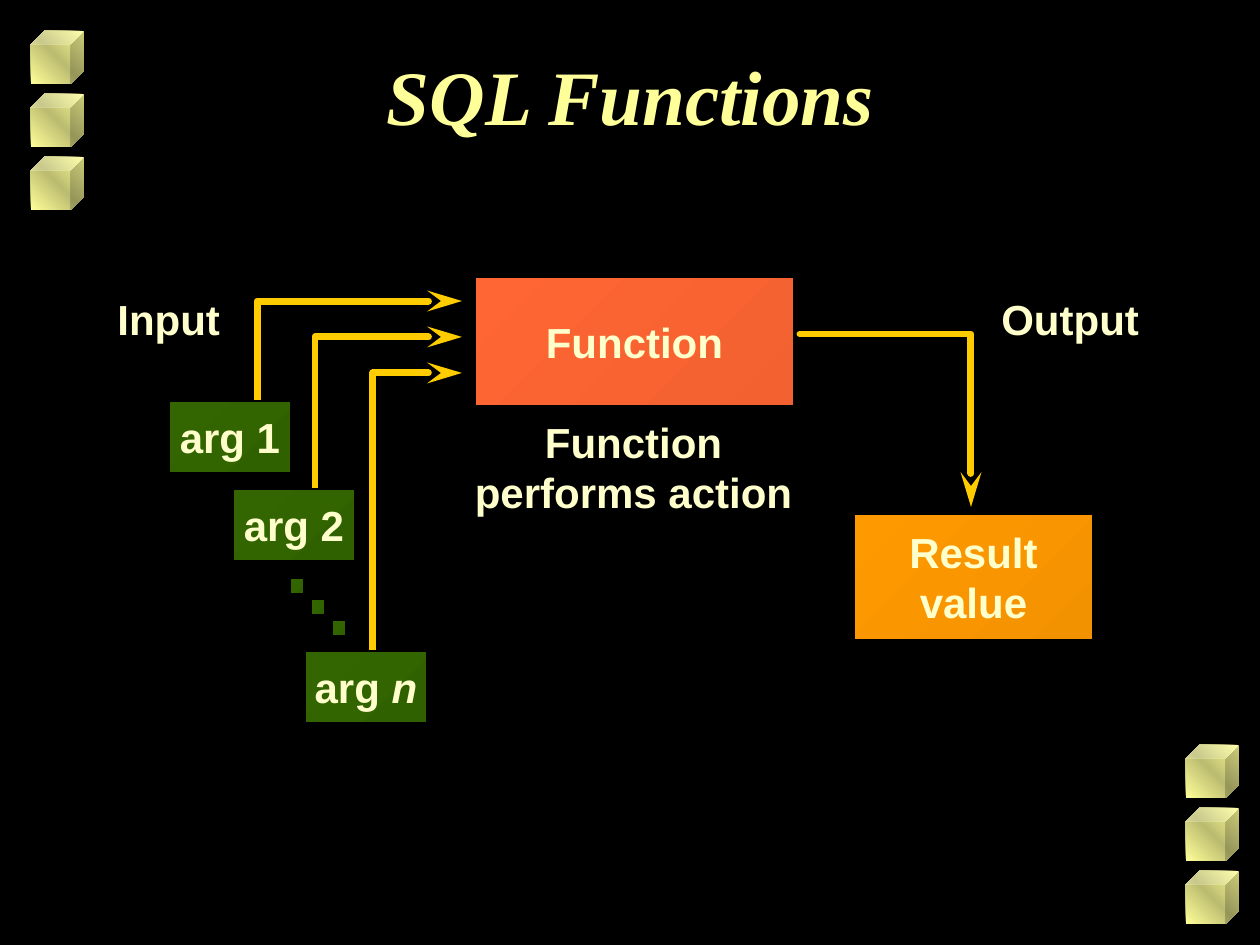
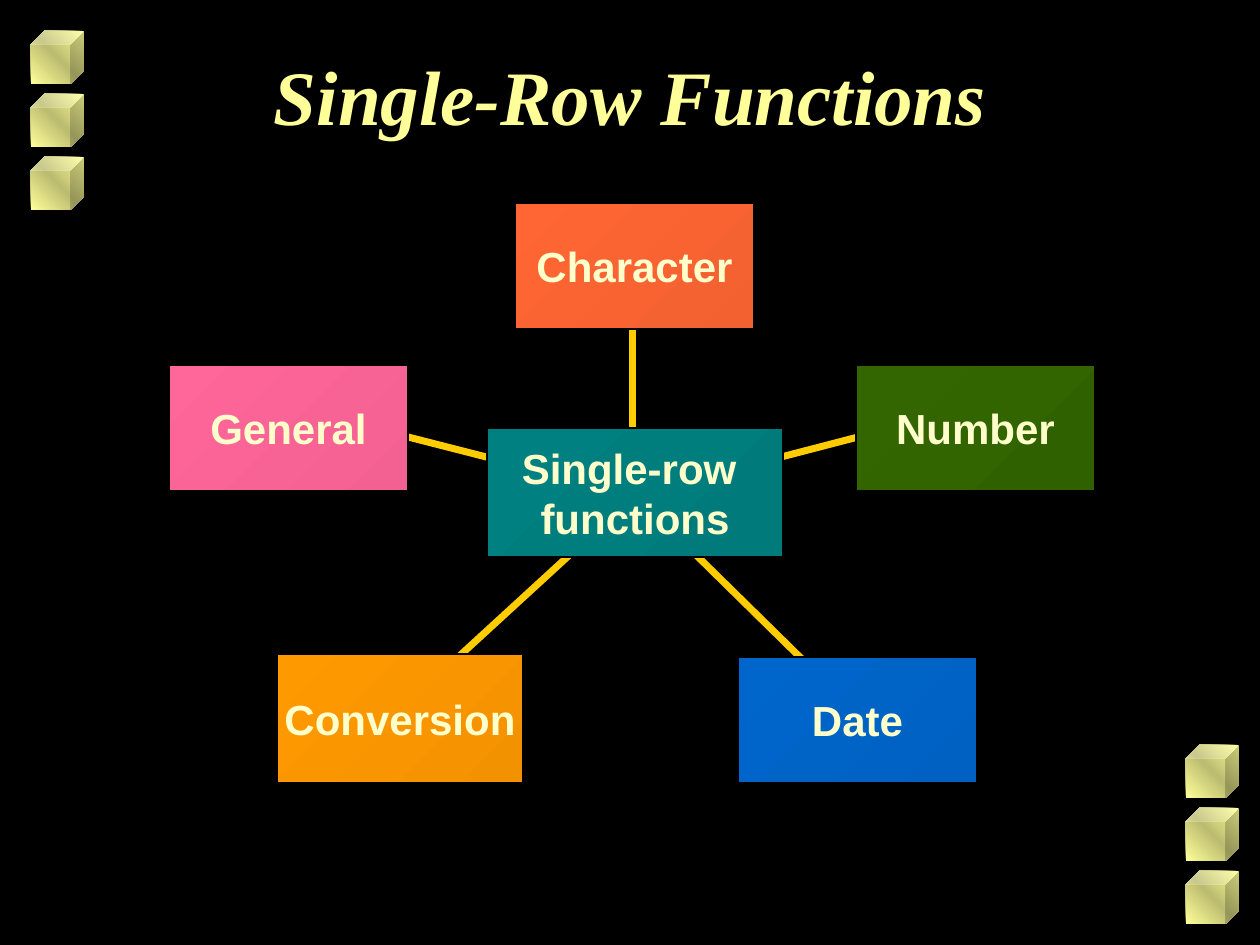
from dataclasses import dataclass
from lxml import etree
from pptx import Presentation
from pptx import util as u
from pptx.dml.color import RGBColor
from pptx.enum import shapes, text
from pptx.oxml import ns

SCALE = 914400 / 126


def px(length):
    return u.Emu(round(length * SCALE))


@dataclass(frozen=True)
class Theme:
    background: str = "000000"
    title: str = "FFFF99"
    body: str = "FFFFCC"
    line: str = "FFCC00"
    outline: str = "000000"
    red: str = "FF6633"
    green: str = "336600"
    orange: str = "FF9900"
    blue: str = "0066CC"
    pink: str = "FF6699"
    teal: str = "008080"
    title_font: str = "Times New Roman"
    body_font: str = "Arial"
    title_size: int = 44
    body_size: int = 24
    line_width: int = 4


THEME = Theme()


@dataclass(frozen=True)
class Box:
    left: int
    top: int
    width: int
    height: int

    def inner(self, left, top, width, height):
        return Box(self.left + left, self.top + top, width, height)

    def point(self, x, y):
        return px(self.left + x), px(self.top + y)

    def emu(self):
        return [px(side) for side in (self.left, self.top, self.width, self.height)]


TITLE = Box(95, 42, 1071, 158)
CUBE_COLUMNS = (Box(31, 31, 53, 179), Box(1186, 745, 53, 179))
INPUT = Box(105, 277, 357, 446)
ACTION = Box(454, 277, 359, 246)
OUTPUT = Box(800, 277, 352, 363)
WHEEL = Box(169, 203, 928, 581)


def color(value):
    return RGBColor.from_string(value)


def shade_fill(shape, value, stops, angle):
    shape.fill.background()
    properties = shape.fill._xPr
    old_fill = properties.find(ns.qn("a:noFill"))
    gradient = etree.Element(ns.qn("a:gradFill"), rotWithShape="1")
    stop_list = etree.SubElement(gradient, ns.qn("a:gsLst"))
    for position, shade in stops:
        stop = etree.SubElement(stop_list, ns.qn("a:gs"), pos=str(position * 1000))
        stop_color = etree.SubElement(stop, ns.qn("a:srgbClr"), val=value)
        if shade < 100:
            etree.SubElement(stop_color, ns.qn("a:shade"), val=str(shade * 1000))
    etree.SubElement(gradient, ns.qn("a:lin"), ang=str(angle * 60000), scaled="1")
    properties.replace(old_fill, gradient)


def write(shape, lines, align, font_name=THEME.body_font, size=THEME.body_size,
          value=THEME.body, italic=None, wrap=False):
    frame = shape.text_frame
    frame.word_wrap = wrap
    for index, line in enumerate(lines):
        paragraph = frame.paragraphs[0] if index == 0 else frame.add_paragraph()
        paragraph.alignment = align
        paragraph.font.name = font_name
        paragraph.font.size = u.Pt(size)
        paragraph.font.bold = True
        paragraph.font.italic = italic
        paragraph.font.color.rgb = color(value)
        paragraph.add_run().text = line
    return frame.paragraphs[-1]


def add_label(slide, box, line, align=text.PP_ALIGN.LEFT, **style):
    label = slide.shapes.add_textbox(*box.emu())
    write(label, [line], align, **style)


def add_block(slide, box, value, *lines):
    block = slide.shapes.add_shape(shapes.MSO_SHAPE.RECTANGLE, *box.emu())
    block.shadow.inherit = False
    shade_fill(block, value, [(0, 100), (100, 90)], 45)
    block.line.color.rgb = color(THEME.outline)
    block.line.width = u.Pt(1)
    block.text_frame.vertical_anchor = text.MSO_ANCHOR.MIDDLE
    return write(block, lines, text.PP_ALIGN.CENTER)


def style_line(line):
    line.color.rgb = color(THEME.line)
    line.width = u.Pt(THEME.line_width)


def add_bent_arrow(slide, box, *corners):
    start, *rest = [box.point(*corner) for corner in corners]
    builder = slide.shapes.build_freeform(*start)
    builder.add_line_segments(rest, close=False)
    arrow = builder.convert_to_shape()
    arrow.shadow.inherit = False
    arrow.fill.background()
    style_line(arrow.line)
    outline = arrow.line._get_or_add_ln()
    outline.set("cap", "rnd")
    etree.SubElement(outline, ns.qn("a:round"))
    etree.SubElement(outline, ns.qn("a:tailEnd"), type="stealth", w="med", len="lg")


def add_spoke(slide, box, start, end):
    spoke = slide.shapes.add_connector(
        shapes.MSO_CONNECTOR.STRAIGHT, *box.point(*start), *box.point(*end))
    style_line(spoke.line)
    etree.SubElement(spoke._element.spPr, ns.qn("a:effectLst"))


def draw_cubes(slide, box):
    for row in range(3):
        side = box.width
        cube = slide.shapes.add_shape(
            shapes.MSO_SHAPE.CUBE, *box.inner(0, row * 63, side, side).emu())
        cube.adjustments[0] = 0.25
        cube.shadow.inherit = False
        shade_fill(cube, THEME.title, [(0, 100), (50, 50), (100, 100)], 315)
        cube.line.fill.background()


def add_titled_slide(presentation, title):
    slide = presentation.slides.add_slide(presentation.slide_layouts[6])
    for column in CUBE_COLUMNS:
        draw_cubes(slide, column)
    add_label(slide, TITLE, title, text.PP_ALIGN.CENTER, font_name=THEME.title_font,
              size=THEME.title_size, value=THEME.title, italic=True, wrap=True)
    return slide


def draw_input(slide, box):
    add_label(slide, box.inner(0, 10, 129, 63), "Input")
    arguments = [(64, 124, "arg 1"), (128, 212, "arg 2"), (200, 374, "arg ")]
    for index, (_, top, _) in enumerate(arguments):
        x, y = 152 + index * 58, 24 + index * 36
        add_bent_arrow(slide, box, (x, top + 10), (x, y), (box.width, y))
    for left, top, name in arguments:
        paragraph = add_block(slide, box.inner(left, top, 122, 72), THEME.green, name)
    variable = paragraph.add_run()
    variable.text = "n"
    variable.font.italic = True
    for index in range(3):
        dot = box.inner(185 + index * 21, 301 + index * 21, 14, 16)
        add_block(slide, dot, THEME.green)


def draw_action(slide, box):
    add_block(slide, box.inner(21, 0, 319, 129), THEME.red, "Function")
    add_label(slide, box.inner(0, 133, box.width, 113), "Function performs action",
              text.PP_ALIGN.CENTER, wrap=True)


def draw_output(slide, box):
    add_bent_arrow(slide, box, (0, 57), (171, 57), (171, 230))
    add_label(slide, box.inner(189, 10, 163, 63), "Output")
    add_block(slide, box.inner(54, 237, 239, 126), THEME.orange, "Result", "value")


def draw_wheel(slide, box):
    satellites = [
        ("Character", THEME.red, (346, 0, 239, 126), (464, 97)),
        ("General", THEME.pink, (0, 162, 239, 126), (196, 223)),
        ("Number", THEME.green, (687, 162, 239, 126), (743, 220)),
        ("Conversion", THEME.orange, (108, 451, 246, 129), (225, 513)),
        ("Date", THEME.blue, (569, 454, 239, 126), (697, 519)),
    ]
    for _, _, _, end in satellites:
        start = (464 if end[0] == 464 else 466, 292)
        add_spoke(slide, box, start, end)
    for name, value, place, _ in satellites:
        add_block(slide, box.inner(*place), value, name)
    add_block(slide, box.inner(318, 225, 296, 129), THEME.teal, "Single-row ", "functions")


def main():
    presentation = Presentation()
    presentation.slide_width, presentation.slide_height = px(1260), px(945)
    background = presentation.slide_master.background.fill
    background.solid()
    background.fore_color.rgb = color(THEME.background)

    slide = add_titled_slide(presentation, "SQL Functions")
    draw_action(slide, ACTION)
    draw_input(slide, INPUT)
    draw_output(slide, OUTPUT)

    slide = add_titled_slide(presentation, "Single-Row Functions")
    draw_wheel(slide, WHEEL)

    presentation.save("out.pptx")


if __name__ == "__main__":
    main()
